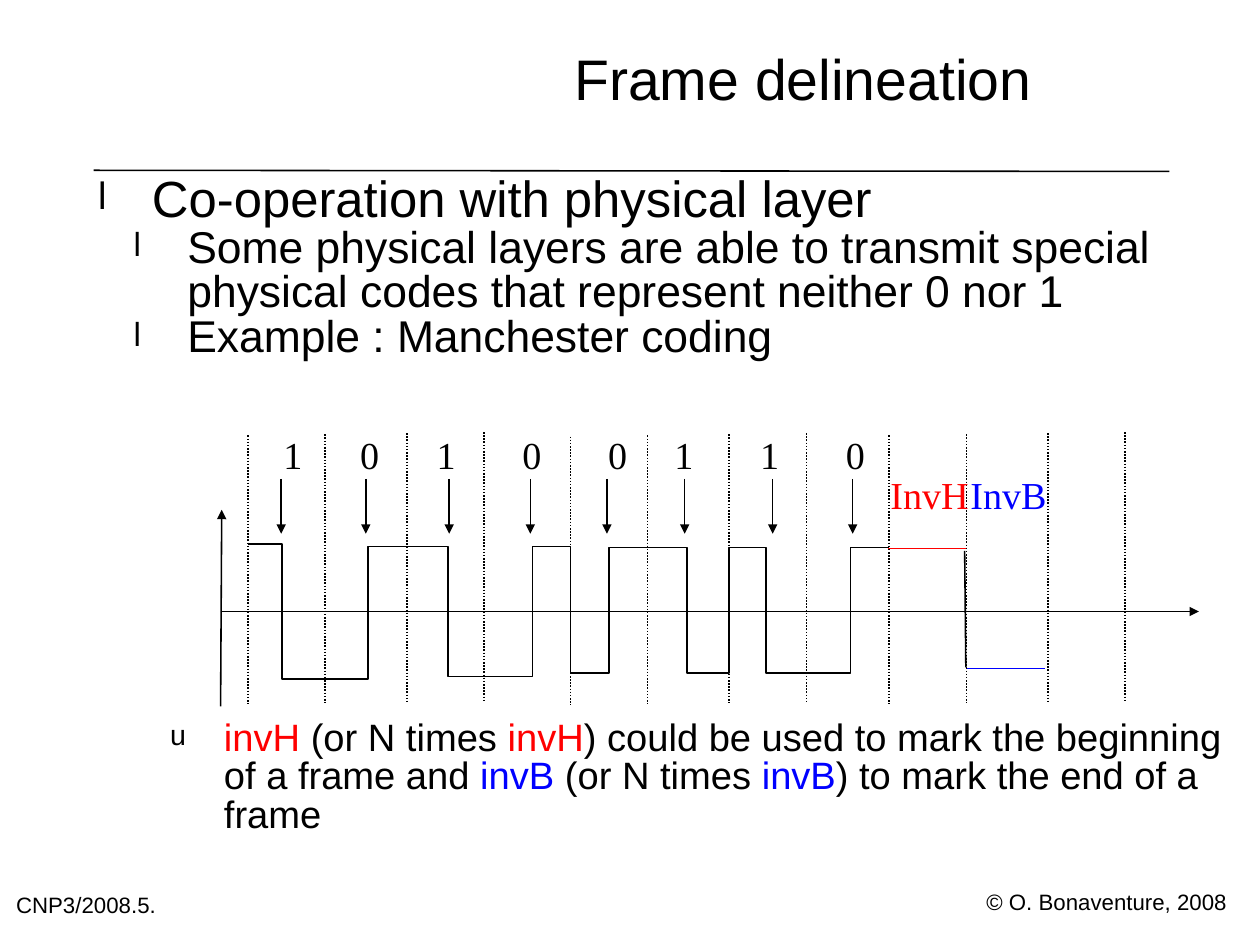
from dataclasses import dataclass
from typing import NamedTuple

from lxml import etree
from pptx import Presentation
from pptx.dml.color import RGBColor
from pptx.enum.dml import MSO_LINE
from pptx.enum.shapes import MSO_CONNECTOR
from pptx.enum.text import MSO_ANCHOR, PP_ALIGN
from pptx.oxml.ns import qn
from pptx.util import Cm, Inches, Pt

STRAIGHT = MSO_CONNECTOR.STRAIGHT
DOTTED = MSO_LINE.ROUND_DOT
LEFT = PP_ALIGN.LEFT
CENTER = PP_ALIGN.CENTER
TOP = MSO_ANCHOR.TOP
MIDDLE = MSO_ANCHOR.MIDDLE

SLIDE_WIDTH, SLIDE_HEIGHT = Cm(28), Cm(21)
CELL = Inches(0.1)


@dataclass(frozen=True)
class Theme:
    black: str = "000000"
    red: str = "FF0000"
    blue: str = "0000FF"
    sans: str = "Arial"
    serif: str = "Times New Roman"
    title: int = 36
    heading: int = 32
    point: int = 28
    detail: int = 24
    footer: int = 14
    line: int = 1
    tight: float = 0.84
    label_spacing: float = 0.93


THEME = Theme()


class Box(NamedTuple):
    column: float
    row: float
    columns: float
    rows: float


class Span(NamedTuple):
    text: str
    color: str = THEME.black


class BulletPoint(NamedTuple):
    spans: list[Span]
    size: int
    level: int
    mark: str
    indent: float
    space_before: int = 0


class Bit(NamedTuple):
    value: str
    label: float
    arrow: float


class BoundaryPair(NamedTuple):
    column: float
    row: float


class Plateau(NamedTuple):
    end: float
    row: float


BULLETS = [
    BulletPoint([Span("Co-operation with physical layer")], THEME.heading, 0, "l", 5.5),
    BulletPoint([Span("Some physical layers are able to transmit special "
                      "physical codes that represent neither 0 nor 1")],
                THEME.point, 1, "l", 8.6),
    BulletPoint([Span("Example : Manchester coding")], THEME.point, 1, "l", 8.6),
    BulletPoint([
        Span("invH", THEME.red), Span(" (or N times "), Span("invH", THEME.red),
        Span(") could be used to mark the beginning of a frame and "),
        Span("invB", THEME.blue), Span(" (or N times "), Span("invB", THEME.blue),
        Span(") to mark the end of a frame"),
    ], THEME.detail, 2, "u", 11.8, 226),
]
BITS = [
    Bit("1", 24.8, 24.6), Bit("0", 31.5, 32), Bit("1", 38.2, 39.3), Bit("0", 45.7, 46.4),
    Bit("0", 53.2, 53.1), Bit("1", 59, 59.9), Bit("1", 66.5, 67.6), Bit("0", 74, 74.6),
]
BOUNDARIES = [
    BoundaryPair(21.7, 38.1), BoundaryPair(35.6, 37.9), BoundaryPair(49.9, 38.2),
    BoundaryPair(63.8, 38), BoundaryPair(77.8, 38.1), BoundaryPair(91.7, 37.9),
]
BIT_WIDTH, BOUNDARY_STEP, BOUNDARY_ROWS = 6.75, 0.1, 23.5
SIGNAL_START = 21.7
SIGNAL = [
    Plateau(24.7, 47.6), Plateau(32.2, 59.4), Plateau(39.2, 47.8), Plateau(46.6, 59.2),
    Plateau(49.9, 47.8), Plateau(53.3, 58.9), Plateau(60.1, 47.9), Plateau(63.8, 58.9),
    Plateau(67, 47.9), Plateau(74.4, 58.9), Plateau(77.8, 47.9),
]


def cells(count: float) -> int:
    return round(count * CELL)


def add_bullet(paragraph, mark: str, indent: float) -> None:
    properties = paragraph._p.get_or_add_pPr()
    properties.set("marL", str(cells(indent)))
    properties.set("indent", str(cells(-4.7)))
    color = etree.SubElement(properties, qn("a:buClr"))
    etree.SubElement(color, qn("a:srgbClr"), val=THEME.black)
    etree.SubElement(properties, qn("a:buSzPct"), val="75000")
    etree.SubElement(properties, qn("a:buFont"), typeface=THEME.sans)
    etree.SubElement(properties, qn("a:buChar"), char=mark)


def add_tabs(paragraph, offsets: list[float]) -> None:
    tabs = etree.SubElement(paragraph._p.get_or_add_pPr(), qn("a:tabLst"))
    for offset in offsets:
        etree.SubElement(tabs, qn("a:tab"), pos=str(cells(offset)), algn="l")


def write(paragraph, text: str, *, size: int, font: str = THEME.sans,
          color: str = THEME.black) -> None:
    run = paragraph.add_run()
    run.text = text
    run.font.size = Pt(size)
    run.font.name = font
    run.font.color.rgb = RGBColor.from_string(color)


def add_frame(slide, box: Box, anchor=TOP):
    frame = slide.shapes.add_textbox(*map(cells, box)).text_frame
    frame.word_wrap = True
    frame.vertical_anchor = anchor
    frame.margin_left = frame.margin_right = frame.margin_top = frame.margin_bottom = 0
    return frame


def add_label(slide, box: Box, text: str, *, size: int, font: str = THEME.sans,
              color: str = THEME.black, align=LEFT, anchor=TOP,
              spacing: float = THEME.tight, tabs: list[float] | None = None) -> None:
    paragraph = add_frame(slide, box, anchor).paragraphs[0]
    paragraph.alignment = align
    paragraph.line_spacing = spacing
    if tabs:
        add_tabs(paragraph, tabs)
    write(paragraph, text, size=size, font=font, color=color)


def add_signal_label(slide, box: Box, text: str, *, color: str = THEME.black,
                     tabs: list[float] | None = None) -> None:
    add_label(slide, box, text, size=THEME.detail, font=THEME.serif, color=color,
              spacing=THEME.label_spacing, tabs=tabs)


def add_bullets(slide, box: Box, bullets: list[BulletPoint]) -> None:
    frame = add_frame(slide, box)
    for index, bullet in enumerate(bullets):
        paragraph = frame.add_paragraph() if index else frame.paragraphs[0]
        paragraph.level = bullet.level
        paragraph.line_spacing = THEME.tight
        if bullet.space_before:
            paragraph.space_before = Pt(bullet.space_before)
        add_bullet(paragraph, bullet.mark, bullet.indent)
        for span in bullet.spans:
            write(paragraph, span.text, size=bullet.size, color=span.color)


def add_line(slide, start: tuple[float, float], end: tuple[float, float], *,
             color: str = THEME.black, dash=None, arrow: bool = False) -> None:
    connector = slide.shapes.add_connector(STRAIGHT, *map(cells, start + end))
    connector.line.color.rgb = RGBColor.from_string(color)
    connector.line.width = Pt(THEME.line)
    if dash:
        connector.line.dash_style = dash
    properties = connector._element.spPr
    if arrow:
        etree.SubElement(properties.find(qn("a:ln")), qn("a:tailEnd"), type="triangle")
    etree.SubElement(properties, qn("a:effectLst"))


def add_signal(slide) -> None:
    points = []
    start = SIGNAL_START
    for plateau in SIGNAL:
        points += [(cells(start), cells(plateau.row)), (cells(plateau.end), cells(plateau.row))]
        start = plateau.end
    builder = slide.shapes.build_freeform(*points[0])
    builder.add_line_segments(points[1:], close=False)
    shape = builder.convert_to_shape()
    shape.shadow.inherit = False
    shape.fill.background()
    shape.line.color.rgb = RGBColor.from_string(THEME.black)
    shape.line.width = Pt(THEME.line)


def add_diagram(slide) -> None:
    for pair in BOUNDARIES:
        for side in range(2):
            column, row = pair.column + side * BIT_WIDTH, pair.row - side * BOUNDARY_STEP
            add_line(slide, (column, row), (column, row + BOUNDARY_ROWS), dash=DOTTED)
    first = BITS[0].label
    add_signal_label(slide, Box(first, 38.1, 52.5, 3.7), "\t".join(bit.value for bit in BITS),
                     tabs=[bit.label - first for bit in BITS[1:]])
    add_line(slide, (19.3, 61.8), (19.4, 44.6), arrow=True)
    add_line(slide, (19.3, 53.5), (104.9, 53.5), arrow=True)
    add_signal(slide)
    for bit in BITS:
        add_line(slide, (bit.arrow, 41.9), (bit.arrow, 46.7), arrow=True)
    add_line(slide, (77.7, 48), (84.5, 48), color=THEME.red)
    add_line(slide, (84.6, 58.5), (91.4, 58.5), color=THEME.blue)
    add_line(slide, (84.4, 48.2), (84.5, 58.4))
    add_signal_label(slide, Box(84.9, 41.6, 7.5, 3.7), "InvB", color=THEME.blue)
    add_signal_label(slide, Box(77.9, 41.6, 7.5, 3.7), "InvH", color=THEME.red)


def main() -> None:
    presentation = Presentation()
    presentation.slide_width = SLIDE_WIDTH
    presentation.slide_height = SLIDE_HEIGHT
    slide = presentation.slides.add_slide(presentation.slide_layouts[6])
    add_line(slide, (8.2, 14.9), (102.3, 15))
    add_label(slide, Box(86.3, 78.1, 22, 2), "© O. Bonaventure, 2008", size=THEME.footer)
    add_label(slide, Box(1.4, 78.4, 16.8, 2.4), "CNP3/2008.5.", size=THEME.footer)
    add_label(slide, Box(37.3, 0, 65.9, 14.6), "Frame delineation", size=THEME.title,
              align=CENTER, anchor=MIDDLE)
    add_bullets(slide, Box(7.8, 15.4, 101.6, 67.2), BULLETS)
    add_diagram(slide)
    presentation.save("out.pptx")


if __name__ == "__main__":
    main()
